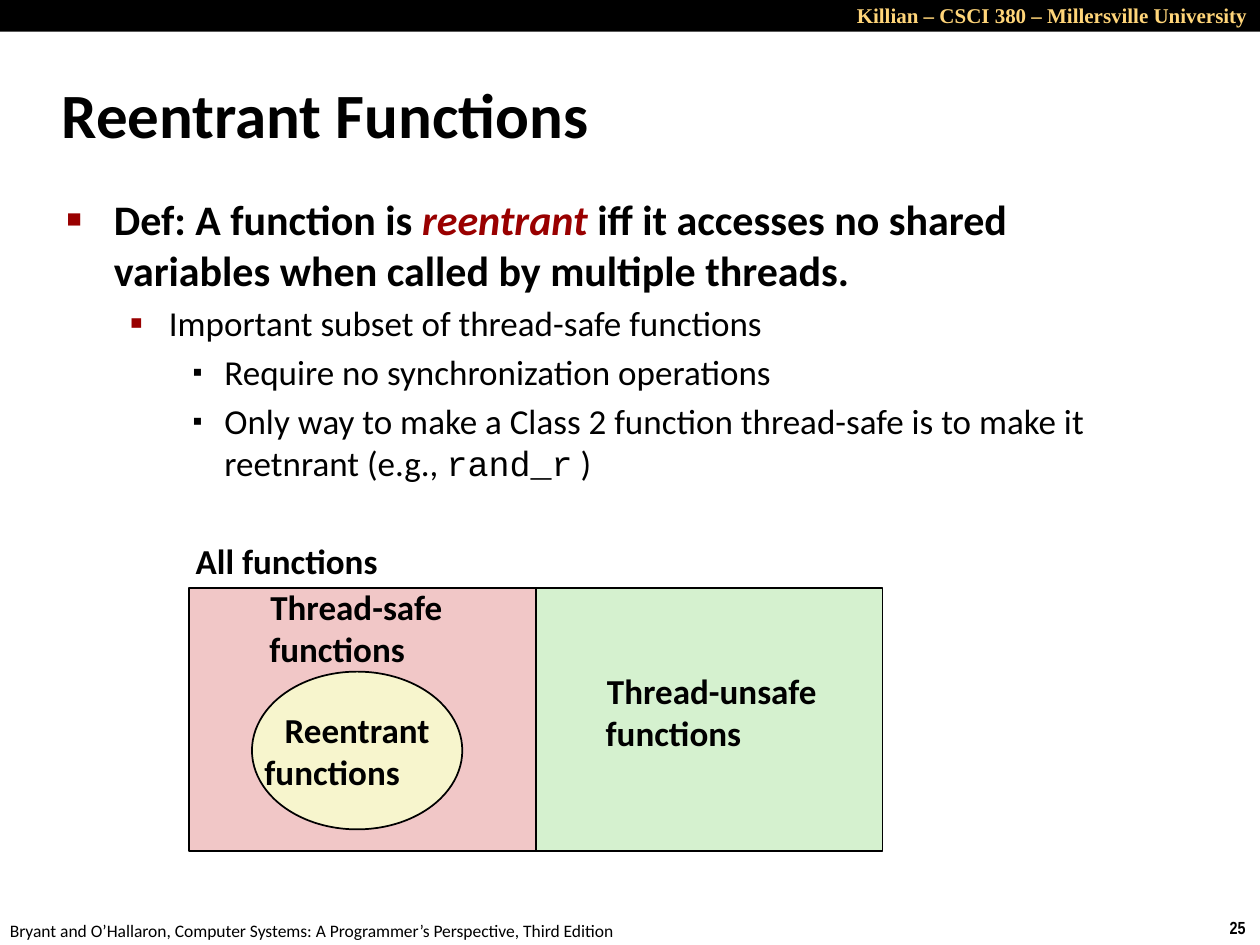
from dataclasses import dataclass
from typing import Optional

from lxml import etree
from pptx import Presentation
from pptx.dml.color import RGBColor
from pptx.enum.shapes import MSO_SHAPE
from pptx.enum.text import MSO_ANCHOR, MSO_AUTO_SIZE, PP_ALIGN
from pptx.oxml.ns import qn
from pptx.util import Cm, Pt

BLACK = RGBColor(0x00, 0x00, 0x00)
GOLD = RGBColor(0xFF, 0xD5, 0x79)
RED = RGBColor(0x99, 0x00, 0x00)
PINK = RGBColor(0xF1, 0xC7, 0xC7)
GREEN = RGBColor(0xD5, 0xF1, 0xCF)
CREAM = RGBColor(0xF7, 0xF5, 0xCD)
Box = tuple[float, float, float, float]


@dataclass
class Run:
    text: str
    size: float = 20
    bold: bool = False
    italic: bool = False
    font: str = "Calibri"
    color: RGBColor = BLACK


@dataclass
class Bullet:
    level: int
    char: str
    percent: int
    color: RGBColor
    runs: list[Run]


@dataclass
class Label:
    box: Box
    lines: list[Run]
    align: PP_ALIGN = PP_ALIGN.CENTER
    anchor: MSO_ANCHOR = MSO_ANCHOR.MIDDLE
    wrap: bool = False


@dataclass
class Region:
    kind: MSO_SHAPE
    box: Box
    fill: RGBColor
    line: Optional[RGBColor] = BLACK


# Left indent and hanging indent of each list level, in cm
INDENTS = [(0.95, 0.95), (2.06, 0.79), (3.18, 0.64)]

BULLETS = [
    Bullet(0, "■", 60, RED, [
        Run("Def: A function is ", 24, True),
        Run("reentrant ", 24, True, True, color=RED),
        Run("iff it accesses no shared variables when called by multiple threads.", 24, True),
    ]),
    Bullet(1, "▪", 110, RED, [Run("Important subset of thread-safe functions")]),
    Bullet(2, "▪", 80, BLACK, [Run("Require no synchronization operations")]),
    Bullet(2, "▪", 80, BLACK, [
        Run("Only way to make a Class 2 function thread-safe is to make it reetnrant (e.g., "),
        Run("rand_r", font="Courier New"),
        Run(" )"),
    ]),
]

HALF_W, HALF_H = 6.99, 5.29
VENN_LEFT, VENN_TOP = 3.81, 11.86
OVAL_BOX = (5.08, 13.54, 4.24, 3.18)
REGIONS = [
    Region(MSO_SHAPE.RECTANGLE, (0, 0, 25.4, 0.64), BLACK, None),
    Region(MSO_SHAPE.RECTANGLE, (VENN_LEFT, VENN_TOP, HALF_W, HALF_H), PINK),
    Region(MSO_SHAPE.RECTANGLE, (VENN_LEFT + HALF_W, VENN_TOP, HALF_W, HALF_H), GREEN),
    Region(MSO_SHAPE.OVAL, OVAL_BOX, CREAM),
]


def bold_lines(*texts: str) -> list[Run]:
    """Return one bold run for each line of a diagram label."""
    return [Run(text, bold=True) for text in texts]


LABELS = [
    Label((24.54, 18.36, 0.86, 0.69), [Run("25", 10, True, font="Arial Narrow")],
          PP_ALIGN.LEFT, MSO_ANCHOR.TOP),
    Label((-0.05, 18.42, 12.9, 0.69),
          [Run("Bryant and O’Hallaron, Computer Systems: "
               "A Programmer’s Perspective, Third Edition", 10)],
          PP_ALIGN.LEFT, MSO_ANCHOR.TOP),
    Label((11.43, -0.08, 13.97, 0.76),
          [Run("Killian – CSCI 380 – Millersville University", 12, True,
               font="Times New Roman", color=GOLD)],
          PP_ALIGN.RIGHT, MSO_ANCHOR.TOP, True),
    Label((3.66, 10.74, 4.24, 1.12), bold_lines("All functions")),
    Label((5.18, 11.68, 4.01, 1.96), bold_lines("Thread-safe", "functions")),
    Label((11.96, 13.36, 4.78, 1.96), bold_lines("Thread-unsafe", "functions")),
    Label(OVAL_BOX, bold_lines("Reentrant", "functions")),
]


def place(shape, box: Box) -> None:
    """Move and size a shape in centimetres."""
    shape.left, shape.top, shape.width, shape.height = map(Cm, box)


def add_run(paragraph, spec: Run) -> None:
    """Append a formatted run to a paragraph."""
    run = paragraph.add_run()
    run.text = spec.text
    font = run.font
    font.name, font.size = spec.font, Pt(spec.size)
    font.bold, font.italic = spec.bold, spec.italic
    font.color.rgb = spec.color


def set_indent(paragraph, left: float, hanging: float) -> None:
    """Give a paragraph a left margin and a hanging first line."""
    props = paragraph._p.get_or_add_pPr()
    props.set("marL", str(Cm(left)))
    props.set("indent", str(-Cm(hanging)))


def next_paragraph(frame, index: int):
    """Return the first paragraph of a frame, or a new one after it."""
    return frame.add_paragraph() if index else frame.paragraphs[0]


def fill_title(title) -> None:
    """Move the title placeholder and write its text."""
    place(title, (0.99, 1.22, 21.08, 2.11))
    frame = title.text_frame
    frame.auto_size = MSO_AUTO_SIZE.NONE
    frame.vertical_anchor = MSO_ANCHOR.MIDDLE
    paragraph = frame.paragraphs[0]
    paragraph.alignment = PP_ALIGN.LEFT
    set_indent(paragraph, 0.33, 0.33)
    add_run(paragraph, Run("Reentrant Functions", 36, True))


def fill_body(body) -> None:
    """Move the body placeholder and write the bulleted list."""
    place(body, (1.09, 3.78, 21.95, 6.53))
    frame = body.text_frame
    frame.auto_size = MSO_AUTO_SIZE.NONE
    for index, bullet in enumerate(BULLETS):
        paragraph = next_paragraph(frame, index)
        paragraph.level = bullet.level
        paragraph.space_before = Pt(bullet.runs[0].size * 0.2)
        set_indent(paragraph, *INDENTS[bullet.level])
        props = paragraph._p.get_or_add_pPr()
        color = etree.SubElement(props, qn("a:buClr"))
        etree.SubElement(color, qn("a:srgbClr"), val=str(bullet.color))
        etree.SubElement(props, qn("a:buSzPct"), val=str(bullet.percent * 1000))
        etree.SubElement(props, qn("a:buChar"), char=bullet.char)
        for run in bullet.runs:
            add_run(paragraph, run)


def add_region(slide, region: Region) -> None:
    """Draw one filled shape."""
    shape = slide.shapes.add_shape(region.kind, *map(Cm, region.box))
    shape.shadow.inherit = False
    shape.fill.solid()
    shape.fill.fore_color.rgb = region.fill
    if region.line is None:
        shape.line.fill.background()
    else:
        shape.line.color.rgb = region.line
        shape.line.width = Pt(1)


def add_label(slide, label: Label) -> None:
    """Draw one text box; lines after the first are left aligned."""
    frame = slide.shapes.add_textbox(*map(Cm, label.box)).text_frame
    frame.word_wrap = label.wrap
    frame.vertical_anchor = label.anchor
    for index, line in enumerate(label.lines):
        paragraph = next_paragraph(frame, index)
        paragraph.alignment = PP_ALIGN.LEFT if index else label.align
        add_run(paragraph, line)


def main() -> None:
    """Build and save the slide."""
    deck = Presentation()
    deck.slide_width, deck.slide_height = Cm(25.4), Cm(19.05)
    slide = deck.slides.add_slide(deck.slide_layouts[1])
    fill_title(slide.shapes.title)
    fill_body(slide.placeholders[1])
    for region in REGIONS:
        add_region(slide, region)
    for label in LABELS:
        add_label(slide, label)
    deck.save("out.pptx")


main()
